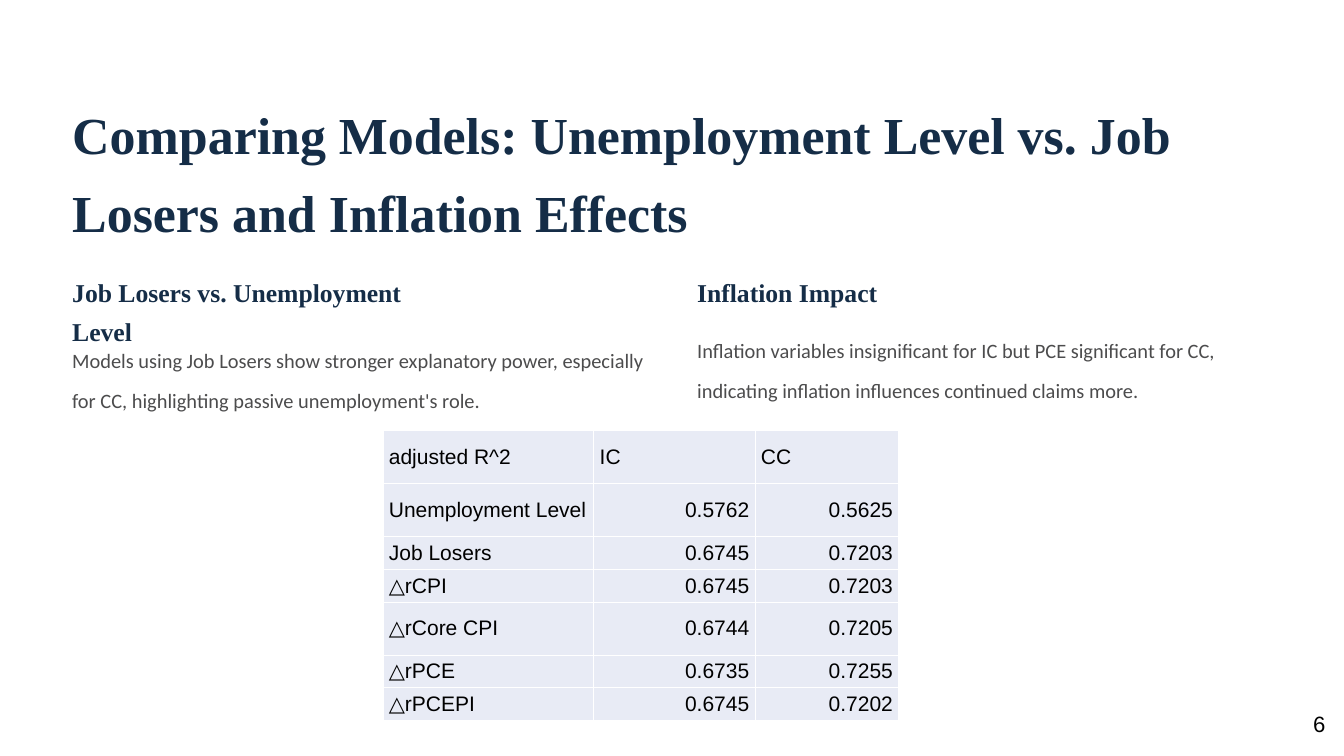
from dataclasses import dataclass

from lxml.etree import SubElement
from pptx import Presentation
from pptx.dml.color import RGBColor
from pptx.enum.text import MSO_ANCHOR as Anchor, MSO_AUTO_SIZE as Fit, PP_ALIGN as Align
from pptx.oxml.ns import qn
from pptx.util import Inches, Pt

NAVY = RGBColor(0x15, 0x2D, 0x47)
GRAY = RGBColor(0x4C, 0x4C, 0x4D)
BLACK = RGBColor(0, 0, 0)
PALE = RGBColor(0xE8, 0xEB, 0xF5)
WHITE = RGBColor(0xFF, 0xFF, 0xFF)

WIDE, HIGH = Inches(16), Inches(9)
COLS, ROWS = 16, 9


@dataclass(frozen=True)
class Style:
    face: str
    size: float
    color: RGBColor
    bold: bool = False
    line: float = 1.0
    align: Align = Align.LEFT


@dataclass(frozen=True)
class Box:
    """A frame in grid columns and rows."""
    left: float
    top: float
    width: float
    height: float


@dataclass(frozen=True)
class Topic:
    left: float
    head: str
    span: float
    body: str
    top: float


TITLE = Style("Times New Roman", 44.5, NAVY, True, 1.25)
HEAD = Style("Times New Roman", 22, NAVY, True, 1.25)
BODY = Style("Calibri", 17.5, GRAY, line=1.63)
LABEL = Style("Arial", 18, BLACK)
VALUE = Style("Arial", 18, BLACK, align=Align.RIGHT)
PAGE = Style("Arial", 19, BLACK, align=Align.RIGHT)

TOPICS = (
    Topic(0.86, "Job Losers vs. Unemployment Level", 4.52,
          "Models using Job Losers show stronger explanatory power, especially "
          "for CC, highlighting passive unemployment's role.", 3.96),
    Topic(8.3, "Inflation Impact", 3.1,
          "Inflation variables insignificant for IC but PCE significant for CC, "
          "indicating inflation influences continued claims more.", 3.84),
)
SCORES = (
    ("adjusted R^2", "IC", "CC"),
    ("Unemployment Level", "0.5762", "0.5625"),
    ("Job Losers", "0.6745", "0.7203"),
    ("△rCPI", "0.6745", "0.7203"),
    ("△rCore CPI", "0.6744", "0.7205"),
    ("△rPCE", "0.6735", "0.7255"),
    ("△rPCEPI", "0.6745", "0.7202"),
)
SPANS = (2.51, 1.92, 1.71)
SHORT, TALL = 0.39, 0.63
DEPTHS = (TALL, TALL, SHORT, SHORT, TALL, SHORT, SHORT)


def across(cols: float) -> int:
    return round(WIDE * cols / COLS)


def down(rows: float) -> int:
    return round(HIGH * rows / ROWS)


def frame(box: Box) -> tuple[int, int, int, int]:
    return across(box.left), down(box.top), across(box.width), down(box.height)


def write(text, words: str, style: Style) -> None:
    text.text = words
    para = text.paragraphs[0]
    para.alignment = style.align
    para.line_spacing = style.line
    font = para.font
    font.name, font.size, font.bold = style.face, Pt(style.size), style.bold
    font.color.rgb = style.color


def fill_box(shape, box: Box, words: str, style: Style, pad: float = 0) -> None:
    shape.left, shape.top, shape.width, shape.height = frame(box)
    text = shape.text_frame
    text.word_wrap, text.auto_size = True, Fit.NONE
    text.vertical_anchor = Anchor.TOP
    text.margin_left = text.margin_right = across(pad)
    text.margin_top = text.margin_bottom = down(pad)
    write(text, words, style)


def add_text(slide, box: Box, words: str, style: Style, pad: float = 0) -> None:
    fill_box(slide.shapes.add_textbox(*frame(box)), box, words, style, pad)


def edge(cell) -> None:
    """Rule all four sides; call before the fill is set."""
    props = cell._tc.get_or_add_tcPr()
    for side in ("a:lnL", "a:lnR", "a:lnT", "a:lnB"):
        line = SubElement(props, qn(side), w=str(Pt(1)))
        solid = SubElement(line, qn("a:solidFill"))
        SubElement(solid, qn("a:srgbClr"), val=str(WHITE))


def add_scores(slide) -> None:
    box = Box(4.56, 5.13, sum(SPANS), sum(DEPTHS))
    table = slide.shapes.add_table(len(SCORES), len(SPANS), *frame(box)).table
    table.first_row = table.horz_banding = False
    for col, span in zip(table.columns, SPANS):
        col.width = across(span)
    for row, depth, words in zip(table.rows, DEPTHS, SCORES):
        row.height = down(depth)
        for cell, word in zip(row.cells, words):
            edge(cell)
            cell.fill.solid()
            cell.fill.fore_color.rgb = PALE
            cell.vertical_anchor = Anchor.MIDDLE
            cell.margin_left = cell.margin_right = across(0.07)
            cell.margin_top = cell.margin_bottom = down(0.05)
            write(cell.text_frame, word, VALUE if word[0] == "0" else LABEL)


def main() -> None:
    deck = Presentation()
    deck.slide_width, deck.slide_height = WIDE, HIGH
    slide = deck.slides.add_slide(deck.slide_layouts.get_by_name("Title Only"))
    fill_box(slide.shapes.title, Box(0.86, 1.04, 14.26, 1.55),
             "Comparing Models: Unemployment Level vs. Job Losers and Inflation Effects",
             TITLE)
    for topic in TOPICS:
        add_text(slide, Box(topic.left, 3.21, topic.span, 0.39), topic.head, HEAD)
        add_text(slide, Box(topic.left, topic.top, 6.83, 0.79), topic.body, BODY)
    add_scores(slide)
    add_text(slide, Box(14.97, 8.31, 0.96, 0.69), "6", PAGE, pad=0.15)
    deck.save("out.pptx")


if __name__ == "__main__":
    main()
